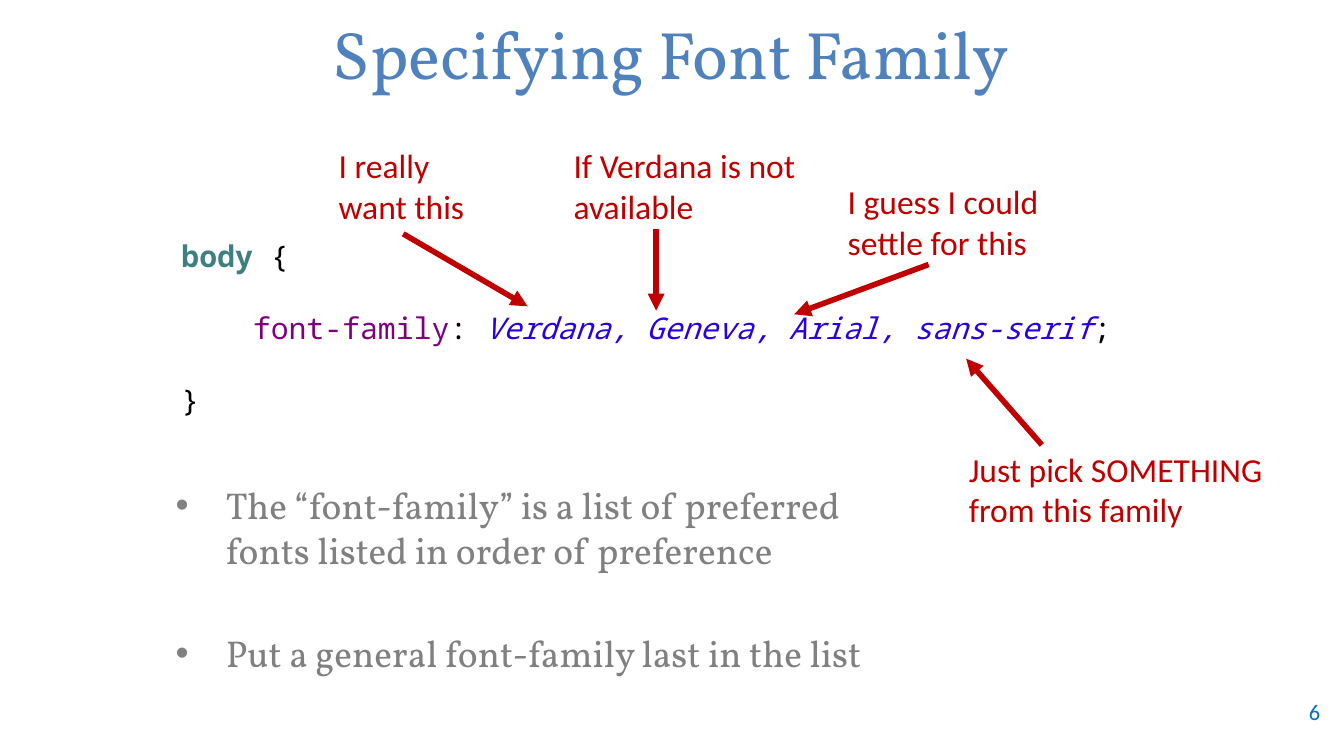
import dataclasses
import lxml.etree
import pptx
import pptx.dml.color
import pptx.enum.shapes
import pptx.enum.text
import pptx.oxml.ns
import pptx.slide
import pptx.util

Cm, Pt = pptx.util.Cm, pptx.util.Pt
qn = pptx.oxml.ns.qn
ALIGN = pptx.enum.text.PP_ALIGN
ANCHOR = pptx.enum.text.MSO_ANCHOR

HUES = {
    "title": "4F81BD",
    "page": "0070C0",
    "note": "C00000",
    "body": "808080",
    "tag": "3F7F7F",
    "plain": "000000",
    "key": "7F007F",
    "value": "2A00E1",
}
FONTS = {
    "title": {"name": "Vollkorn", "size": Pt(36)},
    "page": {"name": "Calibri", "size": Pt(12)},
    "note": {"name": "Calibri", "size": Pt(18)},
    "body": {"name": "Vollkorn", "size": Pt(20)},
    "code": {"name": "Noto Sans Mono", "size": Pt(16)},
}
MARKS = {"tag": {"bold": True}, "value": {"italic": True}}


def tint(hue):
    return pptx.dml.color.RGBColor.from_string(HUES[hue])


def apply(item, values):
    for name, value in values.items():
        setattr(item, name, value)


@dataclasses.dataclass
class Deck:
    slide: pptx.slide.Slide
    width: float = 3
    indent: float = 0.95

    def text(self, place, style, paras, form=None, anchor=ANCHOR.TOP, gap=0):
        """Add a box; each paragraph is a list of (text, hue) runs."""
        box = self.slide.shapes.add_textbox(*map(Cm, place))
        frame = box.text_frame
        apply(frame, {"word_wrap": True, "vertical_anchor": anchor})
        for i, runs in enumerate(paras):
            para = frame.add_paragraph() if i else frame.paragraphs[0]
            apply(para, form or {})
            if i:
                para.space_before = Pt(gap)
            for words, hue in runs:
                run = para.add_run()
                run.text = words
                apply(run.font, FONTS[style] | MARKS.get(hue, {}))
                run.font.color.rgb = tint(hue)
        return frame

    def line(self, place, style, words, **more):
        return self.text(place, style, [[(words, style)]], **more)

    def list(self, place, style, items, gap):
        frame = self.text(place, style, [[(item, style)] for item in items], gap=gap)
        for para in frame.paragraphs:
            props = para._p.get_or_add_pPr()
            props.set("marL", str(Cm(self.indent)))
            props.set("indent", str(-Cm(self.indent)))
            lxml.etree.SubElement(props, qn("a:buFont")).set("typeface", "Arial")
            lxml.etree.SubElement(props, qn("a:buChar")).set("char", "•")

    def arrow(self, ends, hue):
        kind = pptx.enum.shapes.MSO_CONNECTOR.STRAIGHT
        link = self.slide.shapes.add_connector(kind, *map(Cm, ends))
        link.line.width = Pt(self.width)
        link.line.color.rgb = tint(hue)
        tail = lxml.etree.SubElement(link.line._get_or_add_ln(), qn("a:tailEnd"))
        tail.set("type", "triangle")
        lxml.etree.SubElement(link._element.spPr, qn("a:effectLst"))


CODE = [
    [("body ", "tag"), ("{", "plain")],
    [
        ("    font-family", "key"),
        (": ", "plain"),
        ("Verdana, Geneva, Arial, sans-serif", "value"),
        (";", "plain"),
    ],
    [("}", "plain")],
]
POINTS = [
    "The “font-family” is a list of preferred fonts listed in order of preference",
    "Put a general font-family last in the list",
]
# Each note: words, left, top, width, and the ends of its arrow
NOTES = [
    ("I really want this", 6.15, 2.62, 2.97, (7.62, 4.42, 9.97, 5.79)),
    ("If Verdana is not available", 10.59, 2.62, 5, (12.4, 4.32, 12.4, 5.87)),
    ("I guess I could settle for this", 15.77, 3.3, 5, (17.55, 5, 15.01, 5.94)),
    ("Just pick SOMETHING from this family", 18.06, 8.36, 6.27,
     (19.69, 8.41, 18.26, 6.78)),
]


def main():
    show = pptx.Presentation()
    apply(show, {"slide_width": Cm(25.4), "slide_height": Cm(14.29)})
    deck = Deck(show.slides.add_slide(show.slide_layouts[6]))
    deck.line((0.2, 0.15, 24.97, 1.7), "title", "Specifying Font Family",
              form={"alignment": ALIGN.CENTER}, anchor=ANCHOR.MIDDLE)
    deck.line((23.5, 13.08, 1.7, 0.76), "page", "6",
              form={"alignment": ALIGN.RIGHT}, anchor=ANCHOR.MIDDLE)
    deck.text((3.18, 4.32, 18.42, 3.91), "code", CODE,
              form={"line_spacing": 1.07}, gap=18)
    deck.list((3.07, 8.99, 13.77, 4.75), "body", POINTS, gap=31.5)
    for words, left, top, width, ends in NOTES:
        deck.line((left, top, width, 1.8), "note", words)
        deck.arrow(ends, "note")
    show.save("out.pptx")


if __name__ == "__main__":
    main()
